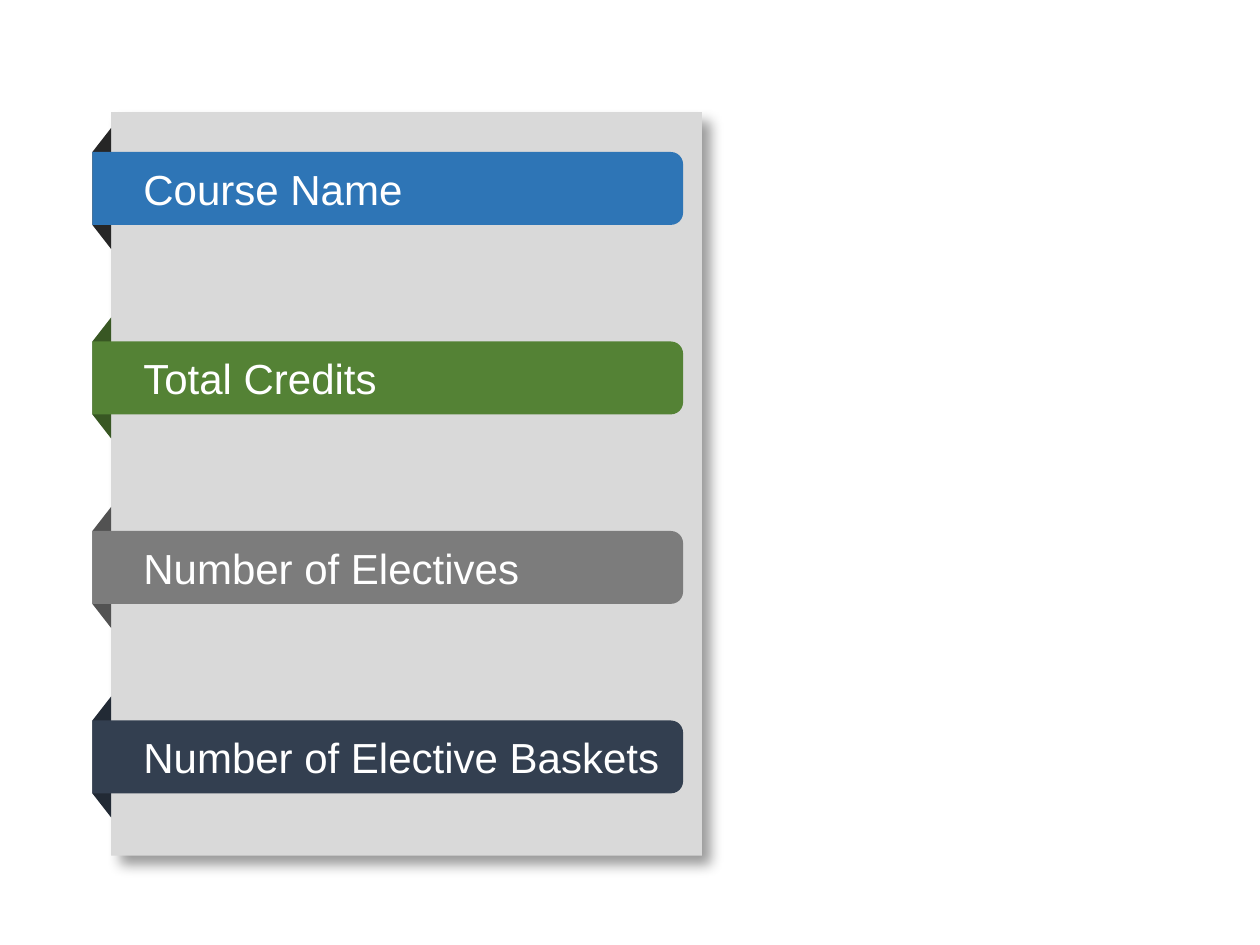
from dataclasses import dataclass

from lxml.etree import SubElement
from pptx import Presentation
from pptx.dml.color import RGBColor
from pptx.enum.shapes import MSO_SHAPE
from pptx.enum.text import MSO_AUTO_SIZE
from pptx.oxml.ns import qn
from pptx.shapes.autoshape import Shape
from pptx.slide import Slide
from pptx.util import Cm, Pt


@dataclass(frozen=True)
class Theme:
    panel: str = "D9D9D9"
    shadow: str = "000000"
    text: str = "FFFFFF"
    font: str = "Arial"
    label_size: int = 24


@dataclass(frozen=True)
class Ribbon:
    label: str
    label_width: float
    color: str
    fold_color: str


THEME = Theme()
RIBBONS = [
    Ribbon("Course Name", 6.02, "2E75B6", "262626"),
    Ribbon("Total Credits", 6.02, "548235", "385723"),
    Ribbon("Number of Electives", 8.38, "7C7C7C", "525252"),
    Ribbon("Number of Elective Baskets", 11.15, "333F50", "222A35"),
]

# Lengths in centimetres
PANEL_LEFT, PANEL_TOP, PANEL_WIDTH, PANEL_HEIGHT = 2.24, 2.26, 11.91, 14.99
FOLD_DEPTH, FOLD_SPAN = 0.38, 2.44
RIBBON_LEFT = PANEL_LEFT - FOLD_DEPTH
RIBBON_HEIGHT = 1.47
FIRST_CENTER, RIBBON_PITCH = 3.8, 3.82
LABEL_LEFT, LABEL_HEIGHT = 2.64, 1.27


def add_filled_shape(slide: Slide, kind: MSO_SHAPE, left: float, top: float,
                     width: float, height: float, color: str) -> Shape:
    shape = slide.shapes.add_shape(kind, Cm(left), Cm(top), Cm(width), Cm(height))
    shape.shadow.inherit = False
    shape.fill.solid()
    shape.fill.fore_color.rgb = RGBColor.from_string(color)
    shape.line.fill.background()
    return shape


def add_quarter_turned(slide: Slide, kind: MSO_SHAPE, left: float, center: float,
                       width: float, height: float, color: str) -> None:
    """Add a shape turned by 90 degrees; width and height are those after the turn."""
    shape = add_filled_shape(slide, kind, left + (width - height) / 2,
                             center - width / 2, height, width, color)
    shape.rotation = 90


def add_panel(slide: Slide) -> None:
    panel = add_filled_shape(slide, MSO_SHAPE.RECTANGLE, PANEL_LEFT, PANEL_TOP,
                             PANEL_WIDTH, PANEL_HEIGHT, THEME.panel)
    effects = panel.element.spPr.find(qn("a:effectLst"))
    shadow = SubElement(effects, qn("a:outerShdw"), blurRad=str(Pt(7)),
                        dist=str(Pt(8)), dir=str(45 * 60000),
                        algn="tl", rotWithShape="0")
    color = SubElement(shadow, qn("a:srgbClr"), val=THEME.shadow)
    SubElement(color, qn("a:alpha"), val="40000")


def add_label(slide: Slide, ribbon: Ribbon, center: float) -> None:
    box = slide.shapes.add_textbox(Cm(LABEL_LEFT), Cm(center - LABEL_HEIGHT / 2),
                                   Cm(ribbon.label_width), Cm(LABEL_HEIGHT))
    frame = box.text_frame
    frame.word_wrap = True
    frame.auto_size = MSO_AUTO_SIZE.SHAPE_TO_FIT_TEXT
    run = frame.paragraphs[0].add_run()
    run.text = ribbon.label
    font_format = {"name": THEME.font, "size": Pt(THEME.label_size)}
    for attribute, value in font_format.items():
        setattr(run.font, attribute, value)
    run.font.color.rgb = RGBColor.from_string(THEME.text)


def add_ribbon(slide: Slide, ribbon: Ribbon, center: float) -> None:
    add_quarter_turned(slide, MSO_SHAPE.FLOWCHART_MANUAL_OPERATION, RIBBON_LEFT,
                       center, FOLD_DEPTH, FOLD_SPAN, ribbon.fold_color)
    add_quarter_turned(slide, MSO_SHAPE.ROUND_2_SAME_RECTANGLE, RIBBON_LEFT,
                       center, PANEL_WIDTH, RIBBON_HEIGHT, ribbon.color)
    add_label(slide, ribbon, center)


def main() -> None:
    presentation = Presentation()
    presentation.slide_width, presentation.slide_height = Cm(25.4), Cm(19.05)
    slide = presentation.slides.add_slide(presentation.slide_layouts[6])
    add_panel(slide)
    for index, ribbon in enumerate(RIBBONS):
        add_ribbon(slide, ribbon, FIRST_CENTER + index * RIBBON_PITCH)
    presentation.save("out.pptx")


if __name__ == "__main__":
    main()
